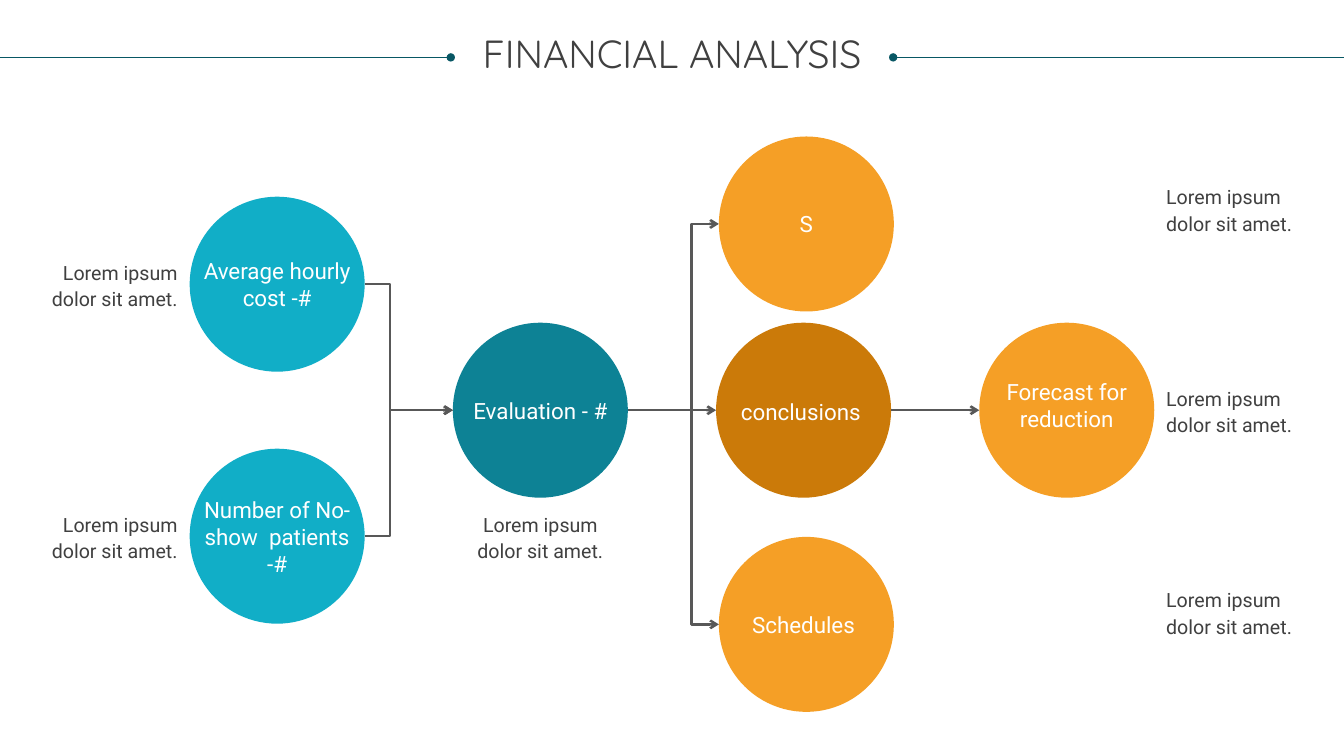
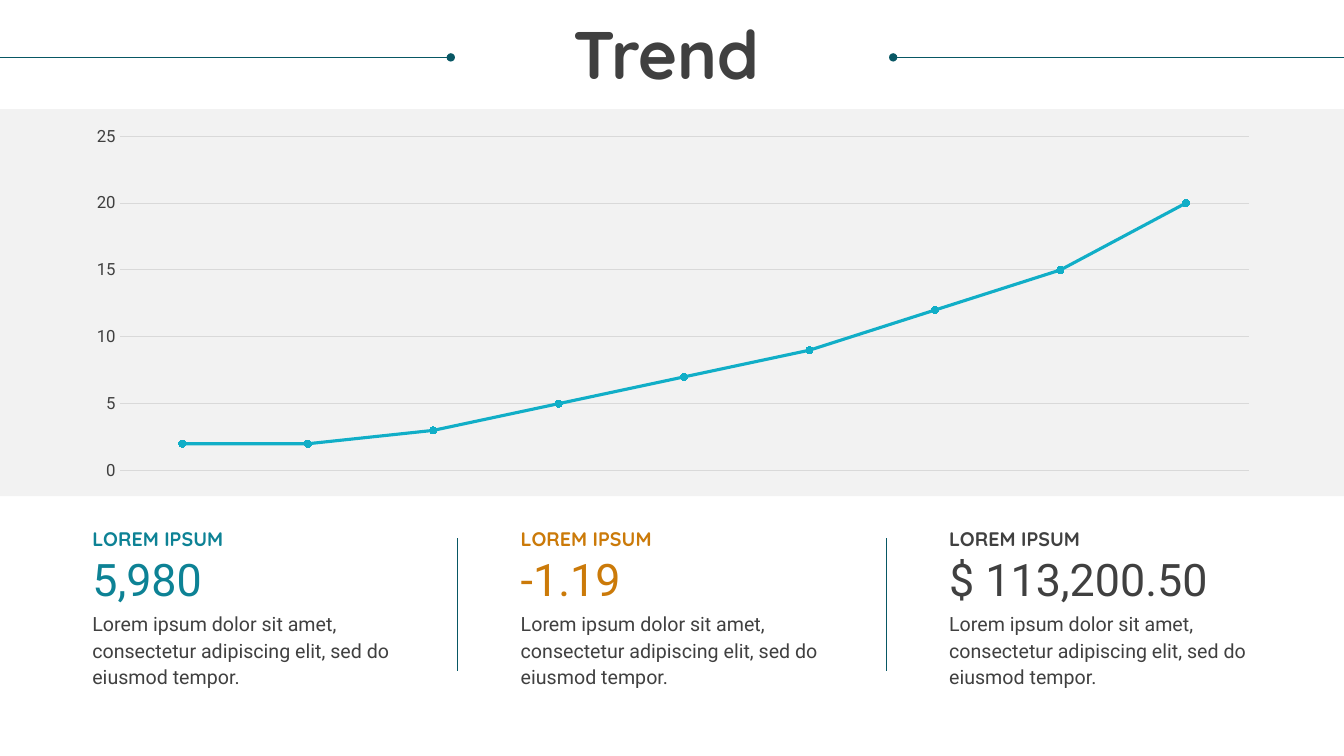
"""Build a two-slide deck: a financial analysis flow and a trend chart."""
from dataclasses import dataclass

from lxml import etree
from pptx import Presentation
from pptx.chart.data import CategoryChartData
from pptx.dml.color import RGBColor
from pptx.enum.chart import XL_CHART_TYPE, XL_MARKER_STYLE, XL_TICK_MARK
from pptx.enum.shapes import MSO_CONNECTOR, MSO_SHAPE
from pptx.enum.text import MSO_ANCHOR, MSO_AUTO_SIZE, PP_ALIGN
from pptx.oxml.ns import qn
from pptx.presentation import Presentation as Deck
from pptx.slide import Slide
from pptx.text.text import TextFrame
from pptx.util import Pt

LEFT, CENTER, RIGHT = PP_ALIGN.LEFT, PP_ALIGN.CENTER, PP_ALIGN.RIGHT
TOP, MIDDLE = MSO_ANCHOR.TOP, MSO_ANCHOR.MIDDLE
STRAIGHT, ELBOW = MSO_CONNECTOR.STRAIGHT, MSO_CONNECTOR.ELBOW
OVAL, RECTANGLE = MSO_SHAPE.OVAL, MSO_SHAPE.RECTANGLE
NO_AUTOFIT = MSO_AUTO_SIZE.NONE
LINE_MARKERS = XL_CHART_TYPE.LINE_MARKERS
CIRCLE_MARKER = XL_MARKER_STYLE.CIRCLE
NO_TICKS = XL_TICK_MARK.NONE

WIDTH, HEIGHT = 960, 540
HEADING_FONT, BODY_FONT = "Quicksand", "Roboto"
INK, WHITE, BAND, GRID = "404040", "FFFFFF", "F2F2F2", "D9D9D9"
RULE, FLOW = "085764", "585858"
CYAN, TEAL, BROWN, ORANGE = "11AEC7", "0D8295", "CB7A09", "F59F26"

TITLE_ONLY = 5
RULE_Y, RULE_LENGTH = 41, 322
DIAMETER = 125
RADIUS = DIAMETER / 2
MID_Y = 293
COST_X, EVALUATION_X, CONCLUSION_X, FORECAST_X = (198 + 188 * i for i in range(4))
OUTCOME_X = CONCLUSION_X + 2
COST_YS = (MID_Y - 90, MID_Y + 90)
OUTCOME_YS = (160, 446)
CAPTION = "Lorem ipsum dolor sit amet."
SUMMARY = "Lorem ipsum dolor sit amet, consectetur adipiscing elit, sed do eiusmod tempor."
CAPTION_WIDTH, CAPTION_HEIGHT = 106, 37
FIGURES_LEFT, FIGURE_PITCH, FIGURE_WIDTH = 66, 306, 216
TREND = (2, 2, 3, 5, 7, 9, 12, 15, 20)


@dataclass(frozen=True)
class Step:
    """A circle of the flow, given by its centre, and the nudge of its label."""
    label: str
    x: float
    y: float
    color: str
    dx: float = 0
    dy: float = 0


@dataclass(frozen=True)
class Caption:
    """A short note beside a step."""
    left: float
    y: float
    align: PP_ALIGN


@dataclass(frozen=True)
class Figure:
    """A key figure under the chart."""
    value: str
    color: str


STEPS = (
    Step("Average hourly cost -#", COST_X, COST_YS[0], CYAN),
    Step("Number of No-show  patients -#", COST_X, COST_YS[1], CYAN),
    Step("Evaluation - #", EVALUATION_X, MID_Y, TEAL),
    Step("conclusions", CONCLUSION_X, MID_Y, BROWN, dx=-2, dy=1),
    Step("Forecast for reduction", FORECAST_X, MID_Y, ORANGE, dy=-3.5),
    Step("S", OUTCOME_X, OUTCOME_YS[0], ORANGE),
    Step("Schedules", OUTCOME_X, OUTCOME_YS[1], ORANGE, dx=-2),
)
CAPTIONS = (
    *(Caption(21, y, RIGHT) for y in COST_YS),
    Caption(EVALUATION_X - CAPTION_WIDTH / 2, COST_YS[1], CENTER),
    *(Caption(833, MID_Y + offset, LEFT) for offset in (-144, 0, 144)),
)
FIGURES = (Figure("5,980", TEAL), Figure("-1.19", BROWN), Figure("$ 113,200.50", INK))


def rgb(color: str) -> RGBColor:
    """Turn a hex string into a colour."""
    return RGBColor.from_string(color)


def write(frame: TextFrame, text: str, *, size: float, color: str = INK,
          font: str = BODY_FONT, bold: bool = False, align: PP_ALIGN = LEFT,
          anchor: MSO_ANCHOR = TOP, spacing: float | Pt | None = None) -> None:
    """Fill a text frame with one formatted paragraph."""
    frame.word_wrap = True
    frame.auto_size = NO_AUTOFIT
    frame.vertical_anchor = anchor
    frame.margin_left = frame.margin_right = frame.margin_top = frame.margin_bottom = 0
    paragraph = frame.paragraphs[0]
    paragraph.alignment = align
    paragraph.line_spacing = spacing
    run = paragraph.add_run()
    run.text = text
    run.font.size = Pt(size)
    run.font.name = font
    run.font.bold = bold
    run.font.color.rgb = rgb(color)


def add_text(slide: Slide, text: str, left: float, top: float, width: float,
             height: float, **style) -> None:
    """Add a text box with formatted text."""
    box = slide.shapes.add_textbox(Pt(left), Pt(top), Pt(width), Pt(height))
    write(box.text_frame, text, **style)


def add_block(slide: Slide, preset: MSO_SHAPE, left: float, top: float,
              width: float, height: float, color: str) -> None:
    """Add a flat filled shape without outline."""
    block = slide.shapes.add_shape(preset, Pt(left), Pt(top), Pt(width), Pt(height))
    block.shadow.inherit = False
    block.fill.solid()
    block.fill.fore_color.rgb = rgb(color)
    block.line.fill.background()


def add_line(slide: Slide, start: tuple[float, float], end: tuple[float, float], *,
             color: str = RULE, weight: float = 0.5, tail: str = "",
             bend: int | None = None) -> None:
    """Add a line, bent at a percentage of its width if asked."""
    kind = STRAIGHT if bend is None else ELBOW
    line = slide.shapes.add_connector(kind, *(Pt(v) for v in (*start, *end)))
    line.line.color.rgb = rgb(color)
    line.line.width = Pt(weight)
    properties = line._element.spPr
    if tail:
        etree.SubElement(properties.find(qn("a:ln")), qn("a:tailEnd"), type=tail)
    if bend is not None:
        geometry = properties.find(qn("a:prstGeom"))
        adjustments = geometry.find(qn("a:avLst"))
        if adjustments is None:
            adjustments = etree.SubElement(geometry, qn("a:avLst"))
        etree.SubElement(adjustments, qn("a:gd"), name="adj1", fmla=f"val {bend * 1000}")
    etree.SubElement(properties, qn("a:effectLst"))


def add_titled_slide(deck: Deck, title: str, left: float, top: float, *,
                     size: float, bold: bool = False) -> Slide:
    """Add a slide with its title between two dotted rules."""
    slide = deck.slides.add_slide(deck.slide_layouts[TITLE_ONLY])
    heading = slide.shapes.title
    heading.left, heading.top = Pt(left), Pt(top)
    heading.width, heading.height = Pt(924), Pt(60)
    write(heading.text_frame, title, size=size, bold=bold, font=HEADING_FONT,
          align=CENTER, spacing=0.9)
    for edge, inner in ((0, RULE_LENGTH), (WIDTH, WIDTH - RULE_LENGTH)):
        add_line(slide, (edge, RULE_Y), (inner, RULE_Y), tail="oval")
    return slide


def add_flow(slide: Slide) -> None:
    """Draw the steps, their arrows and their captions."""
    for step in STEPS:
        add_block(slide, OVAL, step.x - RADIUS, step.y - RADIUS, DIAMETER, DIAMETER,
                  step.color)
        add_text(slide, step.label, step.x - 54 + step.dx, step.y - 30 + step.dy,
                 108, 60, size=16, color=WHITE, align=CENTER, anchor=MIDDLE)
    arrows = (
        *((COST_X, y, EVALUATION_X, MID_Y, 29) for y in COST_YS),
        *((EVALUATION_X, MID_Y, OUTCOME_X, y, 70) for y in OUTCOME_YS),
        (EVALUATION_X, MID_Y, CONCLUSION_X, MID_Y, None),
        (CONCLUSION_X, MID_Y, FORECAST_X, MID_Y, None),
    )
    for from_x, from_y, to_x, to_y, bend in arrows:
        add_line(slide, (from_x + RADIUS, from_y), (to_x - RADIUS, to_y),
                 color=FLOW, weight=1.75, tail="arrow", bend=bend)
    for caption in CAPTIONS:
        add_text(slide, CAPTION, caption.left, caption.y - CAPTION_HEIGHT / 2,
                 CAPTION_WIDTH, CAPTION_HEIGHT, size=14, align=caption.align,
                 anchor=MIDDLE, spacing=Pt(19))


def add_trend_chart(slide: Slide) -> None:
    """Add the line chart of the trend."""
    data = CategoryChartData()
    data.categories = [str(i + 1) for i in range(len(TREND))]
    data.add_series("Series 1", TREND)
    chart = slide.shapes.add_chart(LINE_MARKERS, Pt(52), Pt(85), Pt(857), Pt(263.5),
                                   data).chart
    chart.has_title = chart.has_legend = False
    chart.font.name = BODY_FONT
    chart.font.size = Pt(12)
    chart.font.color.rgb = rgb(INK)
    chart.category_axis.visible = False
    scale = chart.value_axis
    scale.minimum_scale, scale.maximum_scale, scale.major_unit = 0, 25, 5
    scale.major_tick_mark = scale.minor_tick_mark = NO_TICKS
    scale.format.line.fill.background()
    scale.major_gridlines.format.line.color.rgb = rgb(GRID)
    scale.major_gridlines.format.line.width = Pt(0.75)
    chart.plots[0].vary_by_categories = False
    trend = chart.plots[0].series[0]
    trend.smooth = False
    trend.format.line.color.rgb = rgb(CYAN)
    trend.format.line.width = Pt(2.25)
    trend.marker.style = CIRCLE_MARKER
    trend.marker.size = 5
    trend.marker.format.fill.solid()
    trend.marker.format.fill.fore_color.rgb = rgb(CYAN)
    trend.marker.format.line.color.rgb = rgb(CYAN)


def add_figures(slide: Slide) -> None:
    """Add the key figures in equal columns with dividers between them."""
    for index, figure in enumerate(FIGURES):
        left = FIGURES_LEFT + index * FIGURE_PITCH
        add_text(slide, "LOREM IPSUM", left, 374, FIGURE_WIDTH, 18, size=14, bold=True,
                 font=HEADING_FONT, color=figure.color, spacing=Pt(19))
        add_text(slide, figure.value, left, 394, FIGURE_WIDTH, 39, size=32,
                 color=figure.color)
        add_text(slide, SUMMARY, left, 435, FIGURE_WIDTH, 56, size=14, spacing=Pt(19))
        if index:
            divider = left - 45
            add_line(slide, (divider, 384.5), (divider, 479.5))


def main() -> None:
    """Build and save the deck."""
    deck = Presentation()
    deck.slide_width, deck.slide_height = Pt(WIDTH), Pt(HEIGHT)
    add_flow(add_titled_slide(deck, "FINANCIAL ANALYSIS", 18, 25, size=28))
    trend = add_titled_slide(deck, "Trend", 14, 15, size=48, bold=True)
    add_block(trend, RECTANGLE, 0, 78, WIDTH, 276.5, BAND)
    add_trend_chart(trend)
    add_figures(trend)
    deck.save("out.pptx")


if __name__ == "__main__":
    main()
